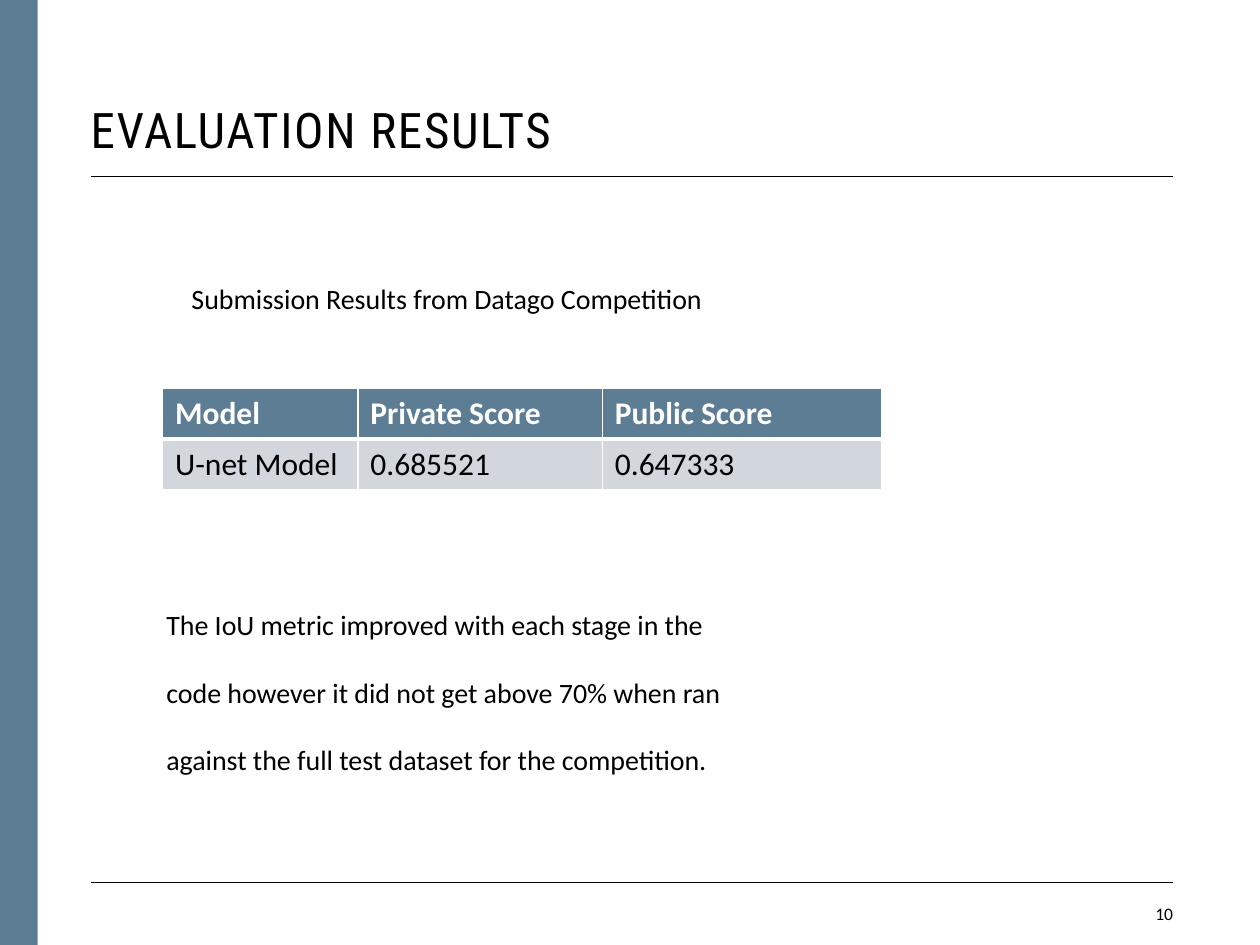
from lxml import etree
from pptx import Presentation
from pptx.dml.color import RGBColor
from pptx.enum import shapes, text
from pptx.oxml.ns import qn
from pptx.util import Inches, Pt

BLUE = RGBColor(0x5D, 0x7D, 0x95)
PALE = RGBColor(0xD2, 0xD7, 0xDD)
BLACK = RGBColor(0, 0, 0)
WHITE = RGBColor(0xFF, 0xFF, 0xFF)

LEFT, CONTENT_WIDTH = 0.72, 8.59


def write(frame, words, size=16, font="Calibri", color=BLACK, bold=False,
          align=text.PP_ALIGN.LEFT, spacing=1.0, after=0, tracking=0):
    """Put one formatted paragraph in a text frame or table cell."""
    paragraph = frame.paragraphs[0]
    paragraph.alignment = align
    paragraph.line_spacing = spacing
    paragraph.space_after = Pt(after)
    run = paragraph.add_run()
    run.text = words
    run.font.size = Pt(size)
    run.font.name = font
    run.font.bold = bold
    run.font.color.rgb = color
    if tracking:
        run.font._element.set("spc", str(tracking * 100))


def add_text(slide, box, words, insets=(0, 0, 0, 0),
             anchor=text.MSO_ANCHOR.TOP, **style):
    frame = slide.shapes.add_textbox(*map(Inches, box)).text_frame
    frame.word_wrap = True
    frame.vertical_anchor = anchor
    (frame.margin_left, frame.margin_top,
     frame.margin_right, frame.margin_bottom) = map(Inches, insets)
    write(frame, words, **style)


def add_rule(slide, top, width):
    rule = slide.shapes.add_connector(
        shapes.MSO_CONNECTOR.STRAIGHT, Inches(LEFT), Inches(top),
        Inches(LEFT + CONTENT_WIDTH), Inches(top))
    rule.line.color.rgb = BLACK
    rule.line.width = Pt(width)
    etree.SubElement(rule._element.spPr, qn("a:effectLst"))


def add_frame(slide, box):
    """Side band and the two horizontal rules."""
    left, top, _, height = box
    band = slide.shapes.add_shape(
        shapes.MSO_SHAPE.RECTANGLE,
        *map(Inches, (left, top, 0.3, height)))
    band.shadow.inherit = False
    band.fill.solid()
    band.fill.fore_color.rgb = BLUE
    band.line.fill.background()
    add_rule(slide, 1.4, 1)
    add_rule(slide, 7, 0.5)


def set_borders(cell, widths):
    """Draw white borders; widths are points by side."""
    properties = cell._tc.get_or_add_tcPr()
    for index, (side, width) in enumerate(widths.items()):
        line = etree.Element(qn("a:ln" + side), w=str(Pt(width)))
        fill = etree.SubElement(line, qn("a:solidFill"))
        etree.SubElement(fill, qn("a:srgbClr"), val=str(WHITE))
        properties.insert(index, line)


def add_score_table(slide, box, column_widths, rows):
    table = slide.shapes.add_table(
        len(rows), len(column_widths), *map(Inches, box)).table
    for column, width in zip(table.columns, column_widths):
        column.width = Inches(width)
    for row_index, values in enumerate(rows):
        header = row_index == 0
        for column_index, value in enumerate(values):
            cell = table.cell(row_index, column_index)
            write(cell.text_frame, value, size=18, bold=header,
                  color=WHITE if header else BLACK)
            cell.fill.solid()
            cell.fill.fore_color.rgb = BLUE if header else PALE
            set_borders(cell, {"L": 1, "R": 1, "T": 1 if header else 3,
                               "B": 3 if header else 1})


def main():
    presentation = Presentation()
    presentation.slide_width = Inches(10)
    presentation.slide_height = Inches(7.5)
    slide = presentation.slides.add_slide(presentation.slide_layouts[6])

    add_frame(slide, (0, 0, 10, 7.5))

    # Title and page number
    add_text(slide, (LEFT, 0.19, CONTENT_WIDTH, 1.07), "EVALUATION RESULTS",
             anchor=text.MSO_ANCHOR.BOTTOM, size=28, font="Roboto Condensed",
             spacing=0.9, tracking=1)
    add_text(slide, (8.81, 7, 0.5, 0.5), "10", size=10,
             anchor=text.MSO_ANCHOR.MIDDLE, align=text.PP_ALIGN.RIGHT)

    # Caption and scores
    add_text(slide, (0.34, 1.7, 9.66, 5.06),
             "Submission Results from Datago Competition",
             insets=(1.18, 0.27, 0, 0), spacing=2.0, after=8)
    add_score_table(slide, (1.29, 3.08, 5.71, 0.81), (1.55, 1.94, 2.22), [
        ("Model", "Private Score", "Public Score"),
        ("U-net Model", "0.685521", "0.647333"),
    ])

    # Conclusion
    add_text(slide, (LEFT, 4.51, 5.28, 1.64),
             "The IoU metric improved with each stage in the code however it "
             "did not get above 70% when ran against the full test dataset "
             "for the competition.",
             insets=(0.6, 0.05, 0.1, 0.05), spacing=2.0, after=8)

    presentation.save("out.pptx")


if __name__ == "__main__":
    main()
